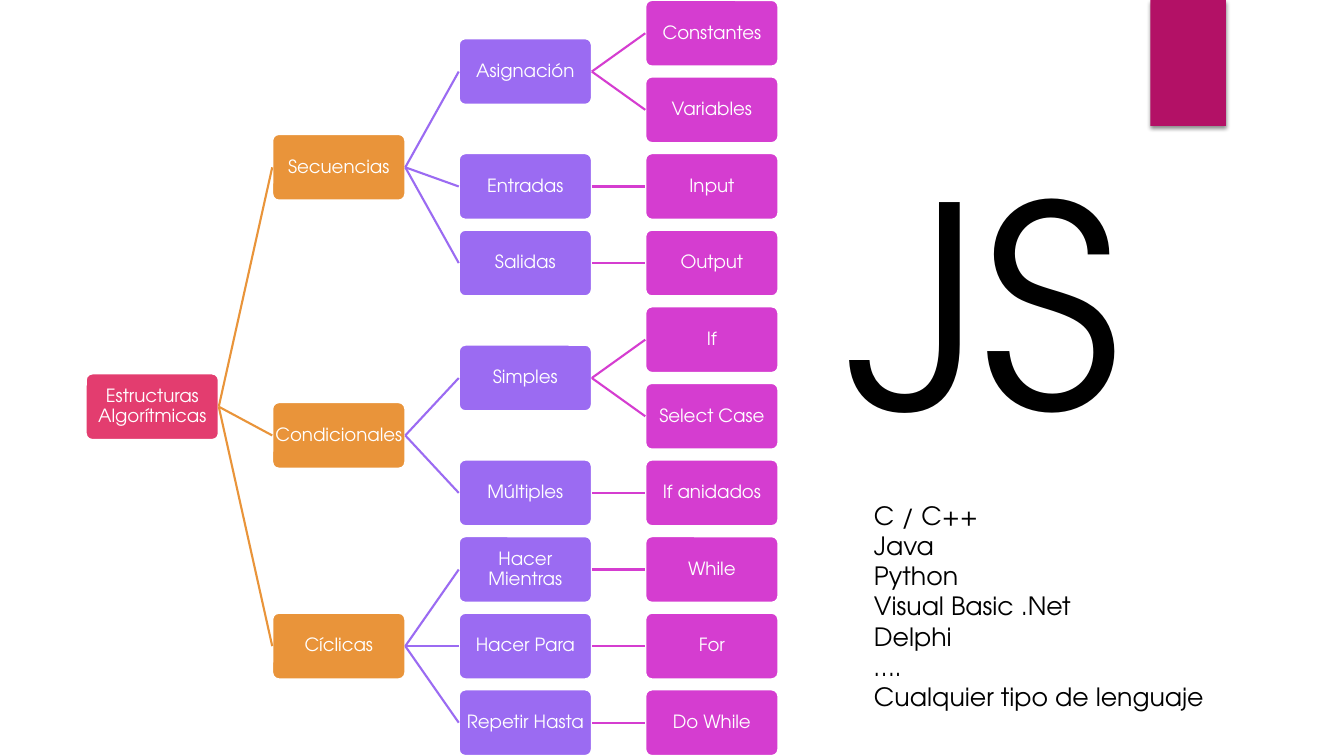
"""Build a slide with a tree of algorithmic structures and a list of languages."""
import pptx
import pptx.util
import pptx.dml.color
import pptx.enum.shapes
import pptx.enum.text
import pptx.oxml
import pptx.oxml.ns

Inches = pptx.util.Inches
Pt = pptx.util.Pt
RGBColor = pptx.dml.color.RGBColor
SHAPE = pptx.enum.shapes.MSO_SHAPE
ALIGN = pptx.enum.text.PP_ALIGN
ANCHOR = pptx.enum.text.MSO_ANCHOR
FIT = pptx.enum.text.MSO_AUTO_SIZE

FONT = "TeX Gyre Adventor"
WHITE = RGBColor(0xFF, 0xFF, 0xFF)
BLACK = RGBColor(0x00, 0x00, 0x00)
WINE = RGBColor(0xB3, 0x11, 0x66)
ROSE = RGBColor(0xE3, 0x3D, 0x6F)
ORANGE = RGBColor(0xE9, 0x94, 0x3A)
VIOLET = RGBColor(0x9B, 0x6B, 0xF2)
PINK = RGBColor(0xD5, 0x3D, 0xD0)
COLORS = [ROSE, ORANGE, VIOLET, PINK]

TREE = [
    (0, "Estructuras Algorítmicas"),
    (1, "Secuencias"),
    (2, "Asignación"),
    (3, "Constantes"),
    (3, "Variables"),
    (2, "Entradas"),
    (3, "Input"),
    (2, "Salidas"),
    (3, "Output"),
    (1, "Condicionales"),
    (2, "Simples"),
    (3, "If"),
    (3, "Select Case"),
    (2, "Múltiples"),
    (3, "If anidados"),
    (1, "Cíclicas"),
    (2, "Hacer Mientras"),
    (3, "While"),
    (2, "Hacer Para"),
    (3, "For"),
    (2, "Repetir Hasta"),
    (3, "Do While"),
]
LEFT, STEP, PITCH = 0.85, 1.85, 0.76
WIDTH, HEIGHT = 1.32, 0.66


def write(frame, text, size, color, align=ALIGN.LEFT, spacing=None):
    """Fill a text frame, one paragraph per line of text."""
    frame.text = text
    for para in frame.paragraphs:
        para.alignment = align
        para.line_spacing = spacing
        para.font.name = FONT
        para.font.size = Pt(size)
        para.font.color.rgb = color


deck = pptx.Presentation()
deck.slide_width = Inches(13.33)
deck.slide_height = Inches(7.5)
slide = deck.slides.add_slide(deck.slide_layouts[6])
shapes = slide.shapes

bar = shapes.add_shape(SHAPE.RECTANGLE, Inches(11.41), 0, Inches(0.75), Inches(1.25))
bar.fill.solid()
bar.fill.fore_color.rgb = WINE
bar.line.fill.background()
bar.shadow.inherit = False
effects = bar._element.spPr.find(pptx.oxml.ns.qn("a:effectLst"))
effects.append(pptx.oxml.parse_xml(
    f'<a:outerShdw {pptx.oxml.ns.nsdecls("a")} blurRad="{Pt(3)}" dist="{Pt(2)}" '
    'dir="5400000" rotWithShape="0"><a:srgbClr val="000000">'
    '<a:alpha val="45000"/></a:srgbClr></a:outerShdw>'))

rows = []
below = [[], [], [], [], []]
leaf = sum(depth == 3 for depth, name in TREE)
for depth, name in reversed(TREE):
    kids = below[depth + 1]
    if kids:
        row = (kids[0] + kids[-1]) / 2
        kids.clear()
    else:
        leaf -= 1
        row = leaf
    below[depth].append(row)
    rows.insert(0, row)

parents = {}
for (depth, name), row in zip(TREE, rows):
    color = COLORS[depth]
    box = shapes.add_shape(SHAPE.ROUNDED_RECTANGLE, Inches(LEFT + STEP * depth),
                           Inches(PITCH * row), Inches(WIDTH), Inches(HEIGHT))
    box.adjustments[0] = 0.1
    box.fill.solid()
    box.fill.fore_color.rgb = color
    box.line.color.rgb = WHITE
    box.line.width = Pt(1.5)
    box.shadow.inherit = False
    frame = box.text_frame
    frame.margin_left = frame.margin_right = 0
    frame.margin_top = frame.margin_bottom = 0
    frame.word_wrap = True
    frame.vertical_anchor = ANCHOR.MIDDLE
    write(frame, name, 13, WHITE, align=ALIGN.CENTER, spacing=0.9)
    parents[depth] = box
    if depth:
        link = shapes.add_connector(pptx.enum.shapes.MSO_CONNECTOR.STRAIGHT, 0, 0, 0, 0)
        link.begin_connect(parents[depth - 1], 3)
        link.end_connect(box, 1)
        link.line.color.rgb = color
        link.line.width = Pt(1.5)
        link._element.spPr.append(pptx.oxml.parse_xml(
            f'<a:effectLst {pptx.oxml.ns.nsdecls("a")}/>'))

LANGS = "\n".join(["C / C++", "Java", "Python", "Visual Basic .Net", "Delphi",
                   "….", "Cualquier tipo de lenguaje"])
for text, size, left, top, width, height in [
    ("JS", 200, 8.3, 1.24, 2.95, 3.47),
    (LANGS, 18, 8.57, 4.91, 3.5, 2.52),
]:
    note = shapes.add_textbox(Inches(left), Inches(top), Inches(width), Inches(height))
    note.text_frame.word_wrap = False
    note.text_frame.auto_size = FIT.SHAPE_TO_FIT_TEXT
    write(note.text_frame, text, size, BLACK)

deck.save("out.pptx")
